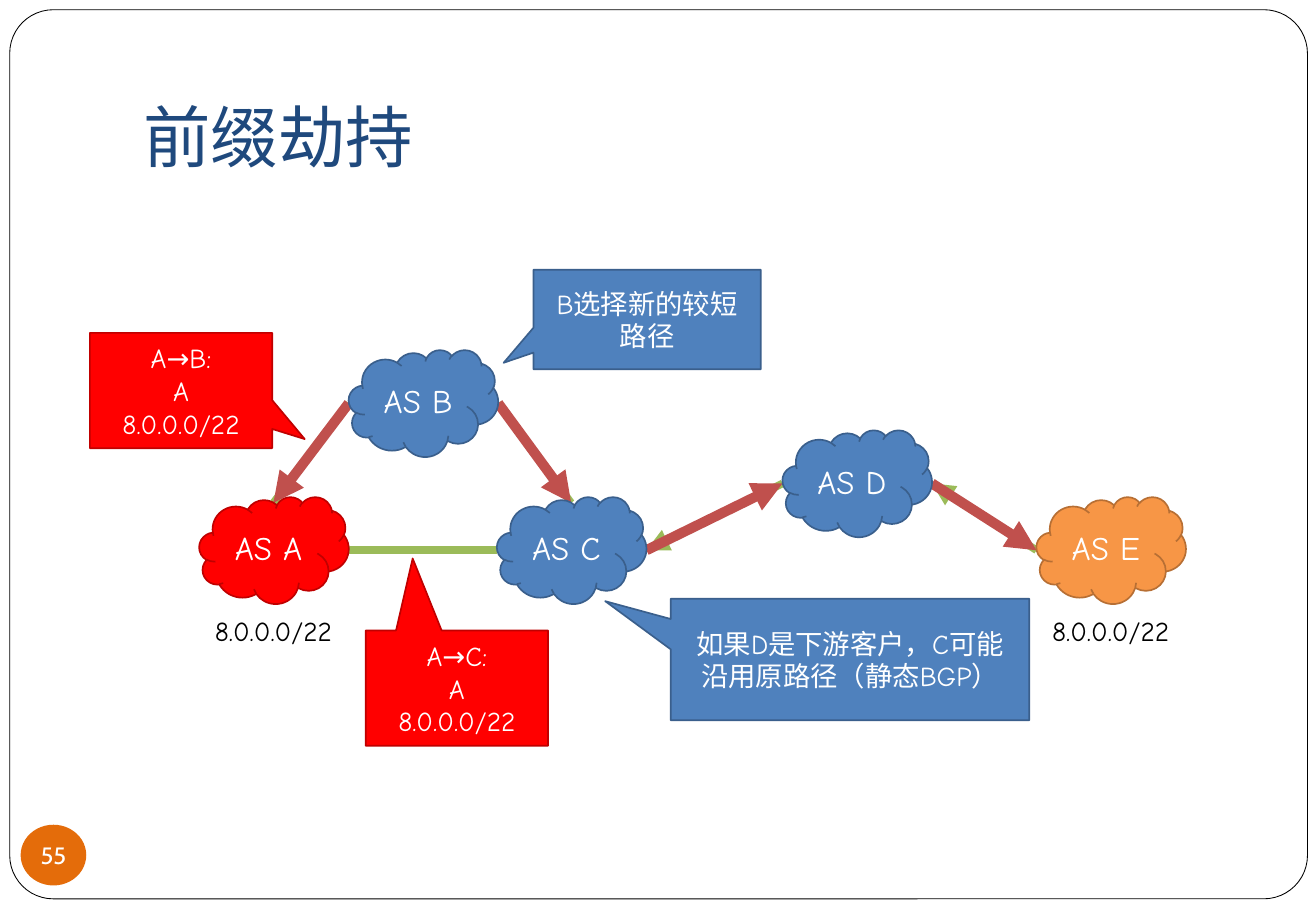
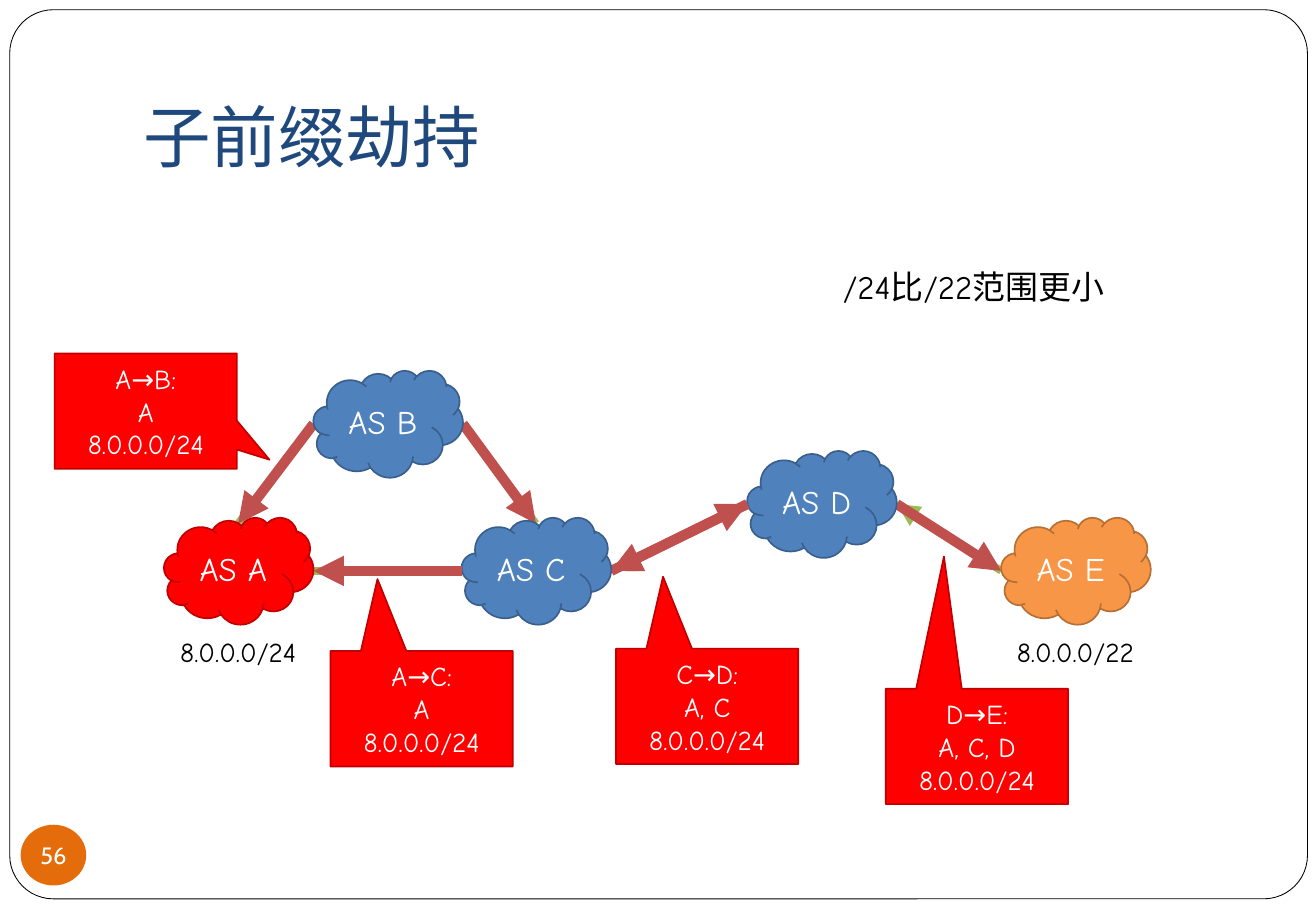
from lxml import etree
from pptx import Presentation
from pptx.dml.color import RGBColor
from pptx.enum.shapes import MSO_CONNECTOR, MSO_SHAPE
from pptx.enum.text import MSO_ANCHOR, PP_ALIGN
from pptx.oxml.ns import qn
from pptx.util import Inches, Pt

STRAIGHT = MSO_CONNECTOR.STRAIGHT
CLOUD, CALLOUT = MSO_SHAPE.CLOUD, MSO_SHAPE.RECTANGULAR_CALLOUT
FRAME, BADGE = MSO_SHAPE.ROUNDED_RECTANGLE, MSO_SHAPE.OVAL
MIDDLE, BOTTOM = MSO_ANCHOR.MIDDLE, MSO_ANCHOR.BOTTOM
LEFT, CENTER = PP_ALIGN.LEFT, PP_ALIGN.CENTER

WHITE, BLACK, NAVY = "FFFFFF", "000000", "1F497D"
GREEN, CRIMSON, BADGE_ORANGE = "9BBB59", "C0504D", "E46C0A"
BLUE_STYLE = ("4F81BD", "3A5F8C")
RED_STYLE = ("FF0000", "C00000")
ORANGE_STYLE = ("F79646", "B76F34")

BODY_FONT, NUMBER_FONT = "Comic Neue", "Cabin"
SMALL, MEDIUM, TITLE_SIZE, NUMBER_SIZE = 16.2, 19.5, 40, 14

CLOUD_SIZE = (1.23, 0.88)
MESSAGE_SIZE = (1.5, 0.95)
PORTS = {"left": (0, 0.44), "right": (1.23, 0.44), "top": (0.61, 0.05)}
CLOUDS = {
    "E": (7.79, 1.35, ORANGE_STYLE),
    "B": (2.13, 0.14, BLUE_STYLE),
    "C": (3.35, 1.35, BLUE_STYLE),
    "A": (0.9, 1.35, RED_STYLE),
    "D": (5.7, 0.8, BLUE_STYLE),
}
LINKS = [
    ("A", "right", "C", "left", None),
    ("A", "top", "B", "left", None),
    ("C", "top", "B", "right", None),
    ("C", "right", "D", "left", "headEnd"),
    ("D", "right", "E", "left", "headEnd"),
]
TRAFFIC = [
    ("B", "right", "C", "top"),
    ("C", "right", "D", "left"),
    ("D", "right", "E", "left"),
    ("B", "left", "A", "top"),
]
DIVERTED_TRAFFIC = [("C", "left", "A", "right"), ("D", "left", "C", "right")]
DOWN_POINTER = (-0.242, -1.124)

SLIDES = [
    {
        "title": "前缀劫持", "number": 55, "origin": (0.74, 2.74),
        "prefix": "8.0.0.0/22",
        "messages": [],
        "notes": [
            ("B选择新的较短路径", (3.65, -0.52, 1.87, 0.82), (-0.631, 0.435)),
            ("如果D是下游客户，C可能沿用原路径（静态BGP）",
             (4.78, 2.19, 2.95, 1), (-0.683, -0.48)),
        ],
        "diverted": [], "remark": None,
    },
    {
        "title": "子前缀劫持", "number": 56, "origin": (0.45, 2.91),
        "prefix": "8.0.0.0/24",
        "messages": [
            ("C→D:", "A, C", (4.62, 2.43), DOWN_POINTER),
            ("D→E:", "A, C, D", (6.84, 2.76), (-0.181, -1.646)),
        ],
        "notes": [],
        "diverted": DIVERTED_TRAFFIC, "remark": "/24比/22范围更小",
    },
]


def color(hex_value):
    """Turn a hex string into a colour."""
    return RGBColor.from_string(hex_value)


def apply(target, values):
    """Set every attribute in a dict of format values."""
    for name, value in values.items():
        setattr(target, name, value)


def write(shape, lines, size, text_color, align=CENTER, font=BODY_FONT, **frame_format):
    """Write one paragraph per line into a shape."""
    frame = shape.text_frame
    apply(frame, {"word_wrap": True, "vertical_anchor": MIDDLE, **frame_format})
    frame.text = "\n".join(lines)
    for paragraph in frame.paragraphs:
        paragraph.alignment = align
        apply(paragraph.font, {"size": Pt(size), "name": font})
        paragraph.font.color.rgb = color(text_color)


def add_box(slide, kind, box, style, line_width=1, adjustments=()):
    """Add a preset shape with a (fill, line) style."""
    shape = slide.shapes.add_shape(kind, *map(Inches, box))
    shape.shadow.inherit = False
    fill, line = style
    shape.fill.solid()
    shape.fill.fore_color.rgb = color(fill)
    if line:
        shape.line.color.rgb = color(line)
        shape.line.width = Pt(line_width)
    else:
        shape.line.fill.background()
    for index, value in enumerate(adjustments):
        shape.adjustments[index] = value
    return shape


def add_text(slide, box, text, size, text_color, **text_format):
    """Add a text box holding one line."""
    shape = slide.shapes.add_textbox(*map(Inches, box))
    write(shape, [text], size, text_color, **text_format)


def port(origin, name, side):
    """Return the point on a cloud where a link meets it."""
    return [start + offset + shift for start, offset, shift
            in zip(origin, CLOUDS[name], PORTS[side])]


def add_link(slide, origin, link, line_color, width, arrow):
    """Draw a straight link between two clouds, with an optional arrowhead."""
    source, source_side, target, target_side = link
    points = port(origin, source, source_side) + port(origin, target, target_side)
    connector = slide.shapes.add_connector(STRAIGHT, *map(Inches, points))
    connector.line.color.rgb = color(line_color)
    connector.line.width = Pt(width)
    if arrow:
        outline = connector.line._get_or_add_ln()
        etree.SubElement(outline, qn("a:" + arrow), type="triangle")
    etree.SubElement(connector._element.spPr, qn("a:effectLst"))


def add_callout(slide, origin, box, lines, pointer, style):
    """Add a callout placed relative to the network's origin."""
    left, top, width, height = box
    place = (origin[0] + left, origin[1] + top, width, height)
    shape = add_box(slide, CALLOUT, place, style, adjustments=pointer)
    write(shape, lines, SMALL, WHITE)


def add_message(slide, origin, message, prefix):
    """Add a red callout announcing a route."""
    hop, route, position, pointer = message
    add_callout(slide, origin, position + MESSAGE_SIZE, [hop, route, prefix],
                pointer, RED_STYLE)


def add_network(slide, origin, content):
    """Draw the network of clouds, links and callouts from its top left corner."""
    left, top = origin
    prefix = content["prefix"]
    for *link, arrow in LINKS:
        add_link(slide, origin, link, GREEN, 4.5, arrow)
    for name, address in (("E", "8.0.0.0/22"), ("A", prefix)):
        cloud_left, cloud_top, _ = CLOUDS[name]
        label_box = (left + cloud_left - 0.06, top + cloud_top + 0.92, 1.34, 0.37)
        add_text(slide, label_box, address, SMALL, BLACK, word_wrap=False)
    for link in TRAFFIC:
        add_link(slide, origin, link, CRIMSON, 6, "tailEnd")
    add_message(slide, origin, ("A→B:", "A", (0, 0), (0.679, 0.421)), prefix)
    for name, (cloud_left, cloud_top, style) in CLOUDS.items():
        cloud_box = (left + cloud_left, top + cloud_top, *CLOUD_SIZE)
        write(add_box(slide, CLOUD, cloud_box, style), ["AS " + name], MEDIUM, WHITE)
    for text, box, pointer in content["notes"]:
        add_callout(slide, origin, box, [text], pointer, BLUE_STYLE)
    for message in [("A→C:", "A", (2.27, 2.45), DOWN_POINTER), *content["messages"]]:
        add_message(slide, origin, message, prefix)
    for link in content["diverted"]:
        add_link(slide, origin, link, CRIMSON, 6, "tailEnd")


def add_base(slide, title, number):
    """Add the frame, title and page number that every slide shares."""
    add_box(slide, FRAME, (0.08, 0.08, 10.68, 7.32), (WHITE, BLACK), 0.5, [0.049])
    add_text(slide, (1.08, 0.3, 9.21, 1.25), title, TITLE_SIZE, NAVY, align=LEFT,
             vertical_anchor=BOTTOM, margin_bottom=Inches(0.1))
    badge = add_box(slide, BADGE, (0.17, 6.79, 0.54, 0.5), (BADGE_ORANGE, None))
    write(badge, [str(number)], NUMBER_SIZE, WHITE, font=NUMBER_FONT, word_wrap=False,
          margin_left=0, margin_top=0, margin_right=0, margin_bottom=0)


def main():
    """Build and save the presentation."""
    presentation = Presentation()
    apply(presentation, {"slide_width": Inches(10.83), "slide_height": Inches(7.5)})
    for content in SLIDES:
        slide = presentation.slides.add_slide(presentation.slide_layouts[6])
        add_base(slide, content["title"], content["number"])
        add_network(slide, content["origin"], content)
        if content["remark"]:
            add_text(slide, (6.84, 2.14, 3.25, 0.43), content["remark"], MEDIUM, BLACK,
                     align=LEFT)
    presentation.save("out.pptx")


if __name__ == "__main__":
    main()
